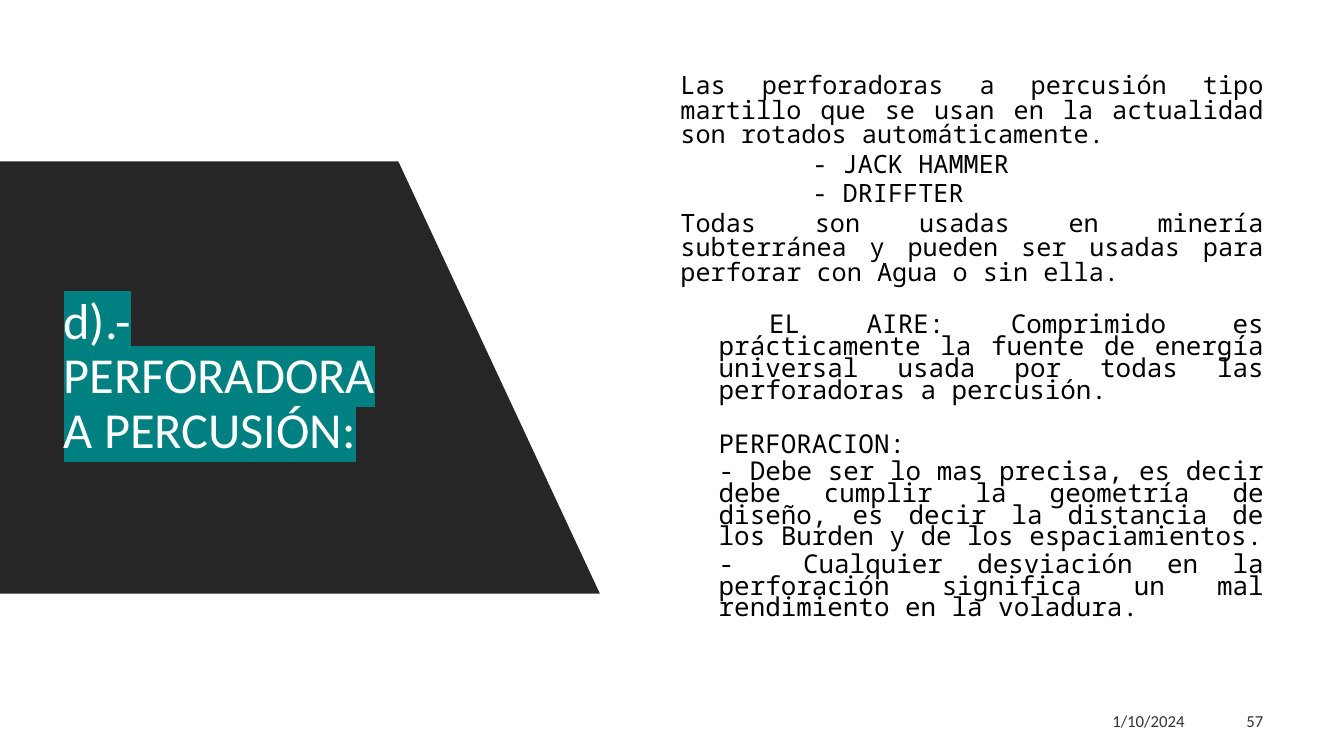
from lxml import etree
from pptx import Presentation
from pptx.dml.color import RGBColor
from pptx.enum import text
from pptx.oxml import ns
from pptx.util import Inches, Pt

ALIGN = text.PP_ALIGN
ANCHOR = text.MSO_ANCHOR


def set_color(fill_format, color):
    fill_format.solid()
    fill_format.fore_color.rgb = RGBColor.from_string(color)


def write(shape, lines, anchor, paragraph_format, font_format, color):
    """Fill a shape with (words, left margin, first indent, space before) lines."""
    frame = shape.text_frame
    frame.word_wrap = True
    frame.auto_size = text.MSO_AUTO_SIZE.NONE
    frame.vertical_anchor = anchor
    for index, (words, margin, indent, before) in enumerate(lines):
        paragraph = frame.paragraphs[0] if index == 0 else frame.add_paragraph()
        for name, value in paragraph_format.items():
            setattr(paragraph, name, value)
        paragraph.space_before = Pt(before)
        properties = paragraph._p.get_or_add_pPr()
        properties.set("marL", str(Inches(margin)))
        properties.set("indent", str(Inches(indent)))
        run = paragraph.add_run()
        run.text = words
        for name, value in font_format.items():
            setattr(run.font, name, value)
        set_color(run.font.fill, color)


presentation = Presentation()
presentation.slide_width = Inches(13.33)
presentation.slide_height = Inches(7.5)
slide = presentation.slides.add_slide(presentation.slide_layouts[5])

# Dark panel
builder = slide.shapes.build_freeform(0, Inches(1.6))
corners = [(3.95, 1.6), (5.95, 5.89), (0, 5.89)]
builder.add_line_segments([(Inches(x), Inches(y)) for x, y in corners])
panel = builder.convert_to_shape()
panel.shadow.inherit = False
set_color(panel.fill, "262626")
panel.line.fill.background()

# Highlighted title, in front of the panel
title = slide.shapes.title
panel._element.addnext(title._element)
title.left, title.top = Inches(0.53), Inches(2.13)
title.width, title.height = Inches(3.57), Inches(3.23)
write(title, [("d).- PERFORADORA A PERCUSIÓN:", 0, 0, 0)], ANCHOR.MIDDLE,
      {"alignment": ALIGN.LEFT, "line_spacing": 0.9, "space_after": Pt(6)},
      {"name": "Calibri", "size": Pt(36)}, "FFFFFF")
title_run = title.text_frame.paragraphs[0].runs[0]
highlight = etree.Element(ns.qn("a:highlight"))
etree.SubElement(highlight, ns.qn("a:srgbClr"), val="008080")
title_run.font._element.find(ns.qn("a:solidFill")).addnext(highlight)

# Body texts
hammers = [
    ("Las perforadoras a percusión tipo martillo que se usan en la actualidad "
     "son rotados automáticamente.", 0, 0, 0),
    ("- JACK HAMMER", 1.31, 0, 4),
    ("- DRIFFTER", 1.31, 0, 4),
    ("Todas son usadas en minería subterránea y pueden ser usadas para "
     "perforar con Agua o sin ella.", 0, 0, 4),
]
drilling = [
    ("EL AIRE: Comprimido es prácticamente la fuente de energía universal "
     "usada por todas las perforadoras a percusión.", 0.38, 0.5, 0),
    ("PERFORACION:", 0.38, 0, 23),
    ("- Debe ser lo mas precisa, es decir debe cumplir la geometría de diseño, "
     "es decir la distancia de los Burden y de los espaciamientos.", 0.38, 0, 4),
    ("-  Cualquier desviación en la perforación significa un mal rendimiento "
     "en la voladura.", 0.38, 0, 4),
]
for lines, top, height, size, spacing in [(hammers, 0.7, 2.31, 18, 0.8),
                                          (drilling, 3.09, 3.71, 18.5, 0.7)]:
    body = slide.shapes.add_textbox(Inches(6.65), Inches(top), Inches(5.98), Inches(height))
    set_color(body.fill, "FFFFFF")
    write(body, lines, ANCHOR.TOP,
          {"alignment": ALIGN.JUSTIFY, "line_spacing": spacing},
          {"name": "Noto Sans Mono", "size": Pt(size)}, "000000")

# Date and slide number
for words, left, width in [("1/10/2024", 9.67, 2.18), ("57", 12.07, 0.56)]:
    footer = slide.shapes.add_textbox(Inches(left), Inches(6.95), Inches(width), Inches(0.4))
    write(footer, [(words, 0, 0, 0)], ANCHOR.MIDDLE,
          {"alignment": ALIGN.RIGHT, "space_after": Pt(6)},
          {"name": "Calibri", "size": Pt(12)}, "333333")

presentation.save("out.pptx")
